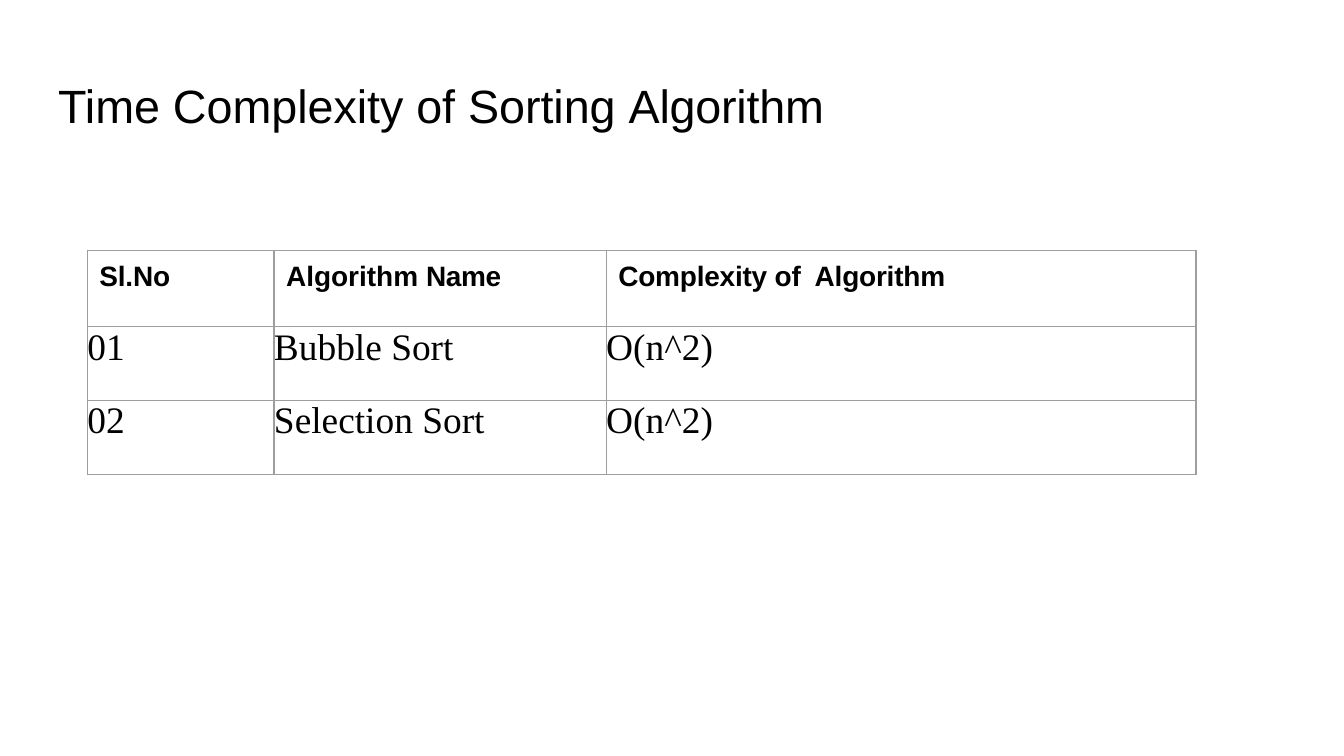
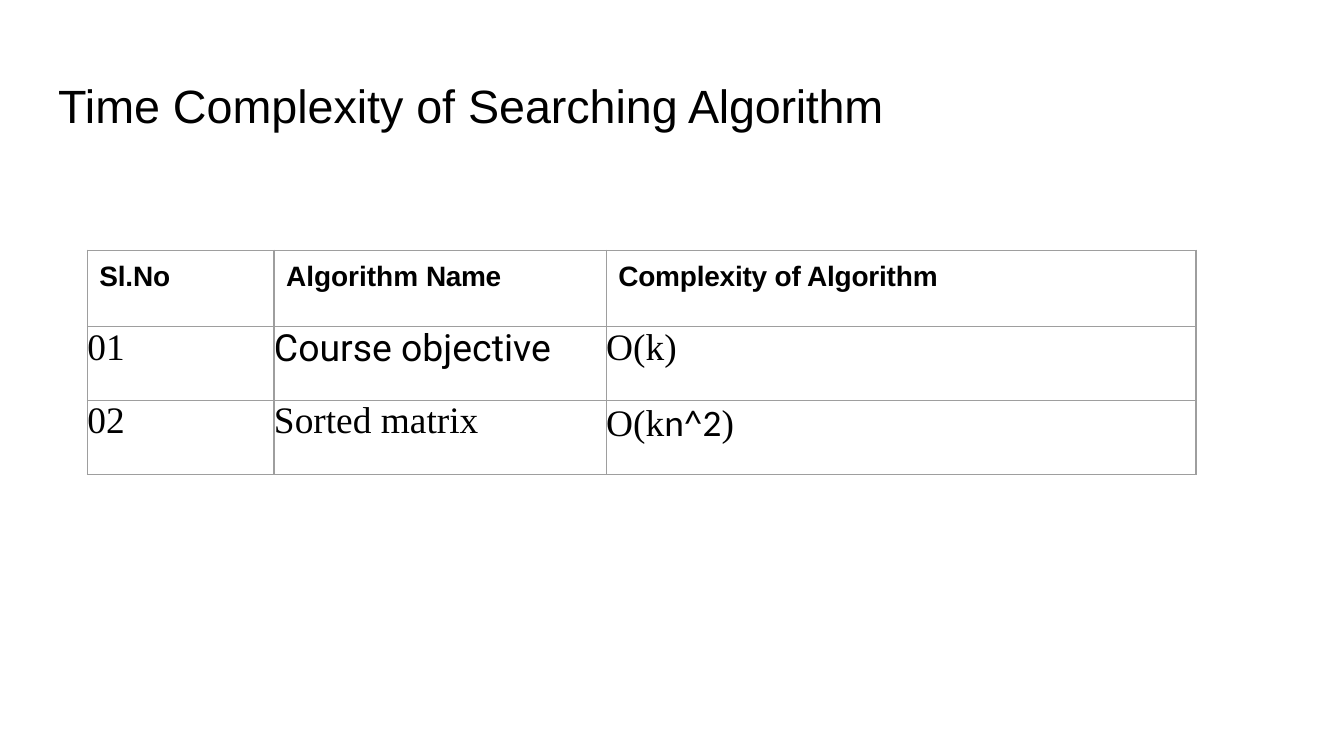
"""Build two slides that tabulate the time complexity of algorithms."""
from lxml import etree
from pptx import Presentation
from pptx import util as u
from pptx.dml.color import RGBColor
from pptx.enum import text
from pptx.oxml import ns

COLOURS = {"text": "000000", "border": "9E9E9E", "background": "FFFFFF"}
HEADING_FONT, BODY_FONT = "Arial", "Times New Roman"
COLUMN_WIDTHS = (100, 178, 316)
ROW_HEIGHTS = (41, 39.6, 39.6)
TITLE_ONLY = 5


def colour(name):
    return RGBColor.from_string(COLOURS[name])


def write_text(frame, runs, font, size, bold=False, indent=0, space_before=0):
    paragraph = frame.paragraphs[0]
    paragraph.alignment = text.PP_ALIGN.LEFT
    paragraph.space_before = u.Pt(space_before)
    paragraph.font.name = font
    paragraph.font.size = u.Pt(size)
    paragraph.font.bold = bold
    paragraph.font.color.rgb = colour("text")
    properties = paragraph._p.get_or_add_pPr()
    properties.set("marL", str(u.Pt(indent)))
    properties.set("indent", "0")
    for content, spacing, run_font in runs:
        run = paragraph.add_run()
        run.text = content
        if run_font:
            run.font.name = run_font
        if spacing:
            run._r.get_or_add_rPr().set("spc", str(round(spacing * 100)))


def set_margins(target, top):
    target.margin_left = target.margin_right = target.margin_bottom = 0
    target.margin_top = u.Pt(top)


def add_borders(cell):
    properties = cell._tc.get_or_add_tcPr()
    for position, side in enumerate(("lnL", "lnR", "lnT", "lnB")):
        line = etree.Element(ns.qn(f"a:{side}"), w=str(u.Pt(0.75)))
        fill = etree.SubElement(line, ns.qn("a:solidFill"))
        etree.SubElement(fill, ns.qn("a:srgbClr"), val=COLOURS["border"])
        properties.insert(position, line)


def add_title(slide, runs):
    title = slide.shapes.title
    title.left, title.top = u.Pt(30.2), u.Pt(39.6)
    title.width, title.height = u.Pt(689.6), u.Pt(32.4)
    frame = title.text_frame
    set_margins(frame, 1.3)
    frame.word_wrap = True
    frame.vertical_anchor = text.MSO_ANCHOR.TOP
    frame.auto_size = text.MSO_AUTO_SIZE.SHAPE_TO_FIT_TEXT
    write_text(frame, runs, HEADING_FONT, 25, indent=1, space_before=1.2)


def add_table(slide, rows):
    table = slide.shapes.add_table(
        len(rows), len(COLUMN_WIDTHS), u.Pt(46.8), u.Pt(134),
        u.Pt(sum(COLUMN_WIDTHS)), u.Pt(sum(ROW_HEIGHTS))).table
    table.horz_banding = False
    for column, width in zip(table.columns, COLUMN_WIDTHS):
        column.width = u.Pt(width)
    for row, height in zip(table.rows, ROW_HEIGHTS):
        row.height = u.Pt(height)
    for row_number, row in enumerate(rows):
        for column_number, runs in enumerate(row):
            cell = table.cell(row_number, column_number)
            cell.fill.background()
            add_borders(cell)
            if row_number == 0:
                set_margins(cell, 6.2)
                write_text(cell.text_frame, runs, HEADING_FONT, 15, bold=True,
                           indent=6.5, space_before=6.2)
            else:
                set_margins(cell, 0)
                write_text(cell.text_frame, runs, BODY_FONT, 20)


def plain(content, spacing=0, font=None):
    return [(content, spacing, font)]


def header(complexity):
    return [plain("Sl.No", -0.1),
            plain("Algorithm ") + plain("Name", -0.2),
            plain(complexity, -0.1)]


def add_complexity_slide(presentation, title, rows):
    slide = presentation.slides.add_slide(presentation.slide_layouts[TITLE_ONLY])
    slide.background.fill.solid()
    slide.background.fill.fore_color.rgb = colour("background")
    add_title(slide, title)
    add_table(slide, rows)


def main():
    presentation = Presentation()
    presentation.slide_width, presentation.slide_height = u.Pt(720), u.Pt(405)
    add_complexity_slide(
        presentation,
        plain("Time Complexity of Sorting ") + plain("Algorithm", -0.1),
        [header("Complexity of  Algorithm"),
         [plain("01"), plain("Bubble Sort"), plain("O(n^2)")],
         [plain("02"), plain("Selection Sort"), plain("O(n^2)")]])
    add_complexity_slide(
        presentation,
        plain("Time Complexity of Searching") + plain(" Algorithm", -0.1),
        [header("Complexity of Algorithm"),
         [plain("01"), plain("Course objective", font="Roboto"), plain("O(k)")],
         [plain("02"), plain("Sorted matrix"),
          plain("O(k") + plain("n^2", font="Calibri") + plain(")")]])
    presentation.save("out.pptx")


if __name__ == "__main__":
    main()
